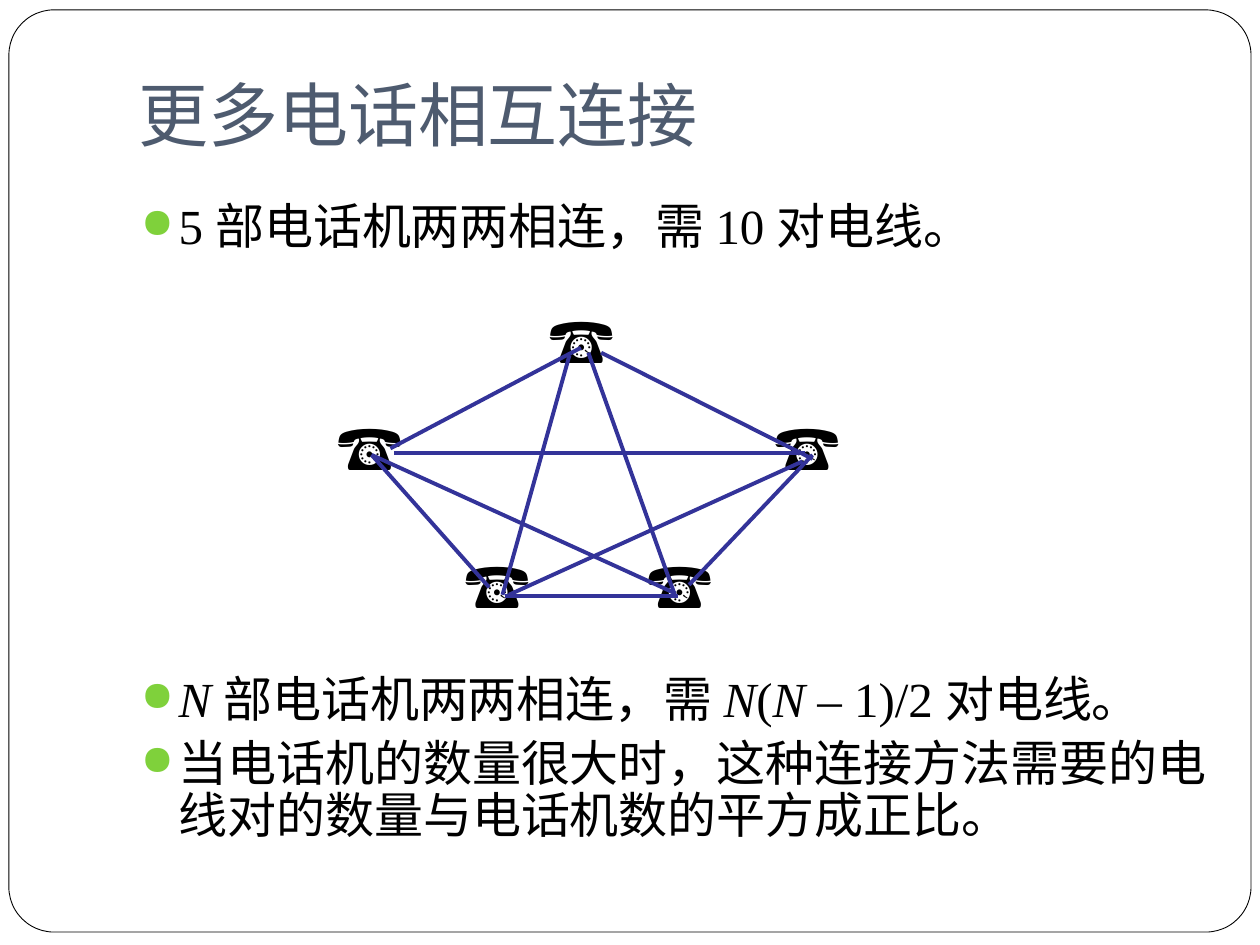
from dataclasses import dataclass

from lxml.etree import SubElement
from pptx import Presentation
from pptx.dml.color import RGBColor
from pptx.enum.shapes import MSO_CONNECTOR, MSO_SHAPE
from pptx.enum.text import MSO_ANCHOR
from pptx.oxml.ns import qn
from pptx.util import Cm, Pt


@dataclass(frozen=True)
class Theme:
    white: RGBColor = RGBColor(0xFF, 0xFF, 0xFF)
    black: RGBColor = RGBColor(0, 0, 0)
    title: RGBColor = RGBColor(0x4E, 0x5B, 0x6F)
    wire: RGBColor = RGBColor(0x33, 0x33, 0x99)
    bullet: RGBColor = RGBColor(0x7F, 0xD1, 0x3B)
    title_font: str = "Lato"
    body_font: str = "Times New Roman"
    title_size: float = 40
    body_size: float = 28
    phone_size: float = 36


@dataclass(frozen=True)
class Phone:
    left: float
    top: float


@dataclass(frozen=True)
class Wire:
    start_x: float
    start_y: float
    end_x: float
    end_y: float


@dataclass(frozen=True)
class Bullet:
    phrases: tuple[str, ...]
    space_before: float = 5.8


THEME = Theme()
VARIABLE = "N"  # set in italics

BULLETS = (
    Bullet(("5 部电话机两两相连，需 10 对电线。",)),
    # The wide gap leaves room for the telephone network
    Bullet(("N ", "部电话机两两相连，需 ", "N", "(", "N", " – 1)/2 对电线。"), 240),
    Bullet(("当电话机的数量很大时，这种连接方法需要的电线对的数量与电话机数的平方成正比。",)),
)

# Positions in centimetres
PHONES = (
    Phone(10.82, 5.94),
    Phone(6.55, 8.1),
    Phone(9.12, 10.87),
    Phone(15.37, 8.1),
    Phone(12.8, 10.87),
)
WIRES = (
    Wire(7.87, 9.04, 11.71, 7.01),
    Wire(12.12, 7.11, 16.38, 9.25),
    Wire(7.49, 9.17, 9.86, 11.84),
    Wire(10.19, 12.01, 13.67, 12.01),
    Wire(13.89, 11.79, 16.38, 9.17),
    Wire(11.86, 7.11, 13.61, 12.01),
    Wire(11.48, 7.16, 10.13, 11.99),
    Wire(7.95, 9.14, 16.23, 9.14),
    Wire(7.49, 9.17, 13.61, 11.96),
    Wire(10.26, 11.99, 16.18, 9.3),
)


def format_run(run, font_name: str, size: float, color: RGBColor) -> None:
    run.font.name = font_name
    run.font.size = Pt(size)
    run.font.color.rgb = color


def draw_frame(slide) -> None:
    shape = slide.shapes.add_shape(
        MSO_SHAPE.ROUNDED_RECTANGLE, Cm(0.18), Cm(0.2), Cm(25.04), Cm(18.59))
    shape.adjustments[0] = 0.049
    shape.shadow.inherit = False
    shape.fill.solid()
    shape.fill.fore_color.rgb = THEME.white
    shape.line.color.rgb = THEME.black
    shape.line.width = Pt(0.5)


def draw_title(slide, text: str) -> None:
    text_frame = slide.shapes.add_textbox(
        Cm(2.54), Cm(0.76), Cm(21.59), Cm(3.18)).text_frame
    text_frame.word_wrap = True
    text_frame.vertical_anchor = MSO_ANCHOR.MIDDLE
    text_frame.margin_bottom = Cm(0.25)
    text_frame.text = text
    format_run(text_frame.paragraphs[0].runs[0],
               THEME.title_font, THEME.title_size, THEME.title)


def add_bullet_mark(paragraph) -> None:
    properties = paragraph._p.get_or_add_pPr()
    properties.set("marL", str(Cm(0.76)))
    properties.set("indent", str(-Cm(0.76)))
    color = SubElement(properties, qn("a:buClr"))
    SubElement(color, qn("a:srgbClr"), val=str(THEME.bullet))
    SubElement(properties, qn("a:buSzPct"), val="85000")
    SubElement(properties, qn("a:buChar"), char="●")


def draw_body(slide, bullets: tuple[Bullet, ...]) -> None:
    text_frame = slide.shapes.add_textbox(
        Cm(2.59), Cm(3.96), Cm(22.81), Cm(13.44)).text_frame
    text_frame.word_wrap = True
    for index, bullet in enumerate(bullets):
        paragraph = text_frame.add_paragraph() if index else text_frame.paragraphs[0]
        paragraph.line_spacing = 0.9
        paragraph.space_before = Pt(bullet.space_before)
        add_bullet_mark(paragraph)
        for phrase in bullet.phrases:
            run = paragraph.add_run()
            run.text = phrase
            format_run(run, THEME.body_font, THEME.body_size, THEME.black)
            run.font.italic = phrase.strip() == VARIABLE


def draw_phone(slide, phone: Phone) -> None:
    text_frame = slide.shapes.add_textbox(
        Cm(phone.left), Cm(phone.top), Cm(2.21), Cm(1.78)).text_frame
    text_frame.word_wrap = False
    text_frame.text = "☎"
    format_run(text_frame.paragraphs[0].runs[0],
               THEME.body_font, THEME.phone_size, THEME.black)


def draw_wire(slide, wire: Wire) -> None:
    connector = slide.shapes.add_connector(
        MSO_CONNECTOR.STRAIGHT, Cm(wire.start_x), Cm(wire.start_y),
        Cm(wire.end_x), Cm(wire.end_y))
    connector.line.color.rgb = THEME.wire
    connector.line.width = Pt(2.25)
    SubElement(connector._element.spPr, qn("a:effectLst"))


def main() -> None:
    presentation = Presentation()
    presentation.slide_width = Cm(25.4)
    presentation.slide_height = Cm(19.05)
    slide = presentation.slides.add_slide(presentation.slide_layouts[6])

    # Frame and text
    draw_frame(slide)
    draw_title(slide, "更多电话相互连接")
    draw_body(slide, BULLETS)

    # Telephone network
    for phone in PHONES:
        draw_phone(slide, phone)
    for wire in WIRES:
        draw_wire(slide, wire)

    presentation.save("out.pptx")


if __name__ == "__main__":
    main()
